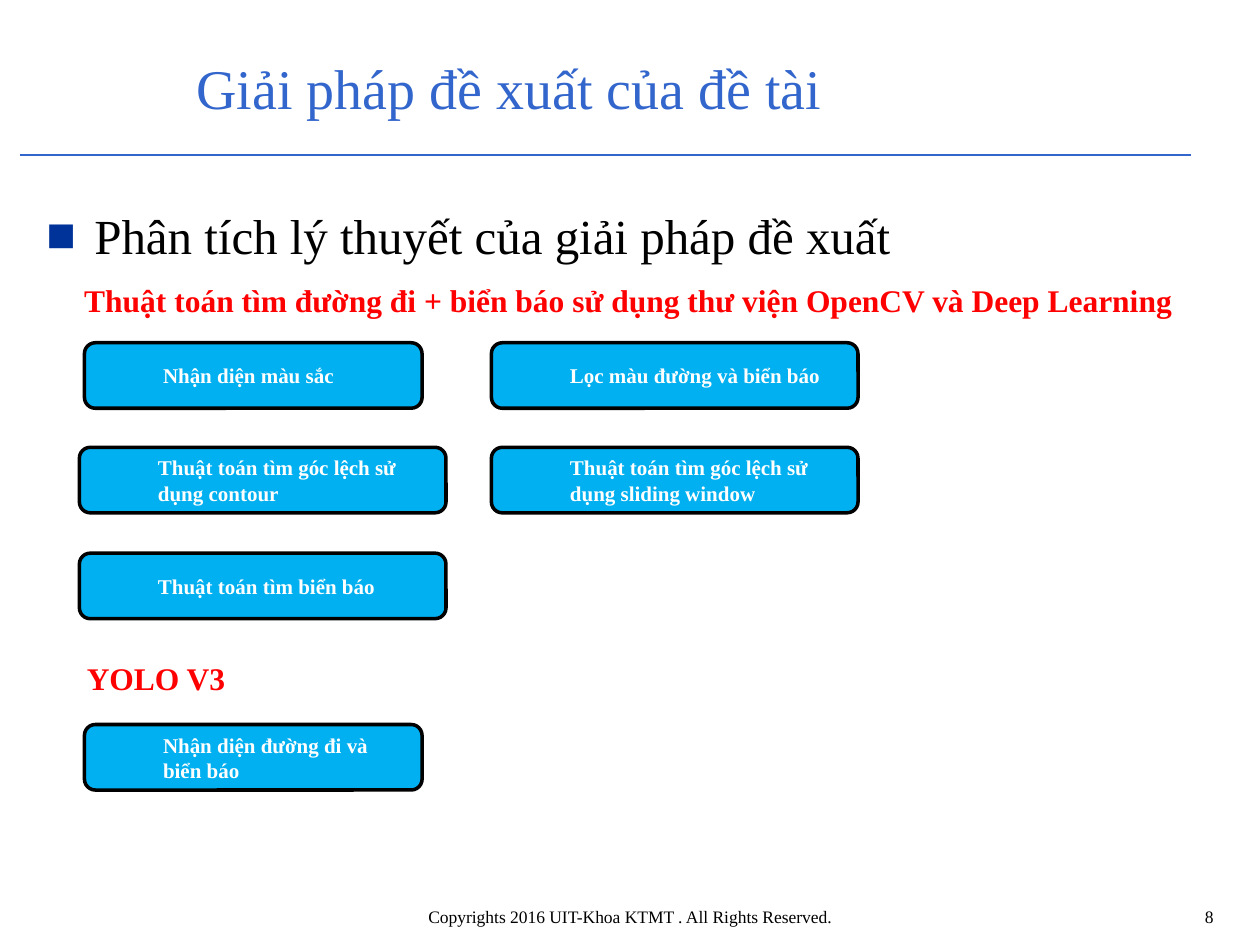
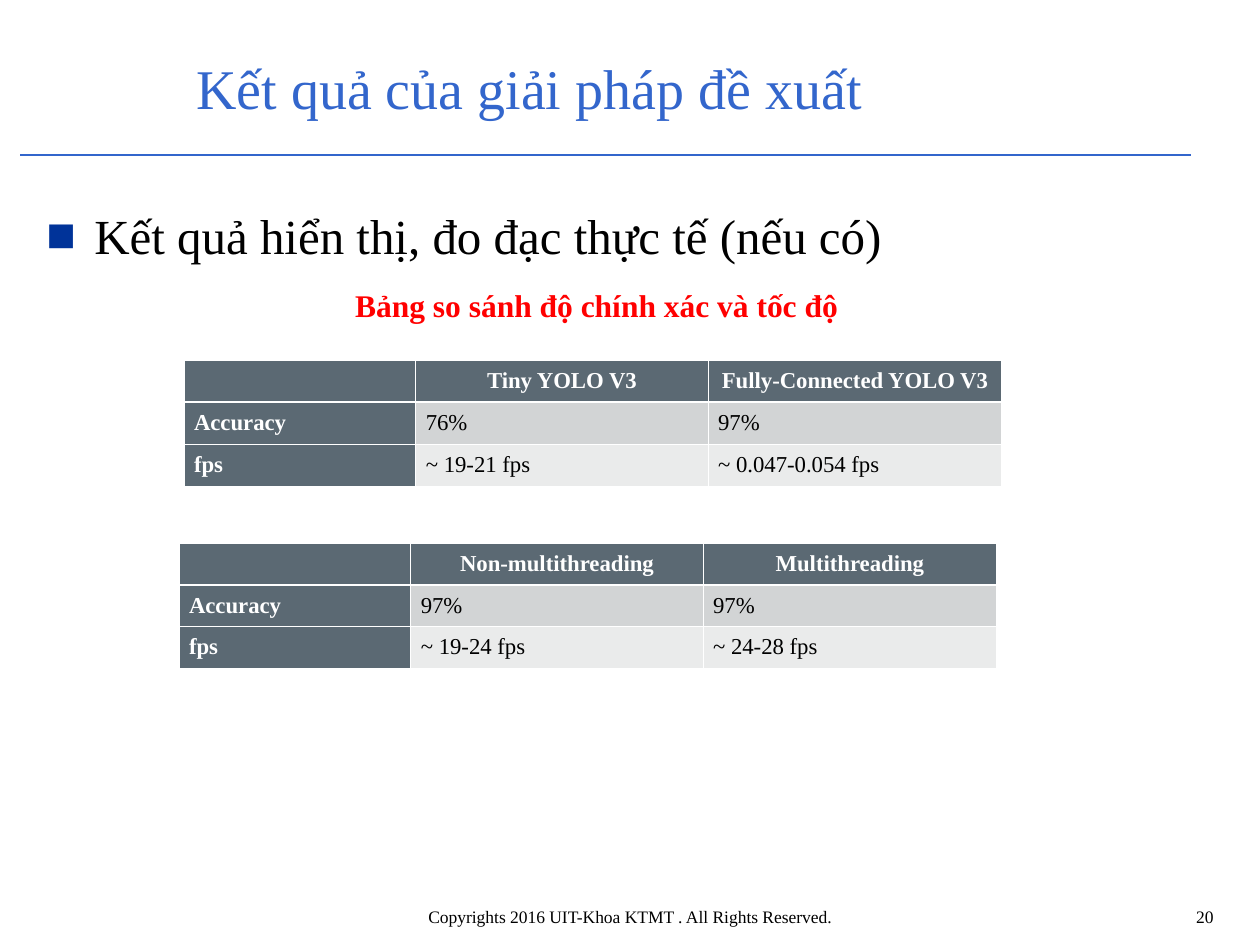
from lxml.etree import SubElement
from pptx import Presentation
from pptx.dml.color import RGBColor
from pptx.enum.shapes import MSO_CONNECTOR, MSO_SHAPE
from pptx.enum.text import MSO_ANCHOR, PP_ALIGN
from pptx.oxml.ns import qn
from pptx.util import Inches, Pt

# Content
SOLUTION = {"title": "Giải pháp đề xuất của đề tài",
            "heading": "Phân tích lý thuyết của giải pháp đề xuất", "number": "8"}
RESULTS = {"title": "Kết quả của giải pháp đề xuất",
           "heading": "Kết quả hiển thị, đo đạc thực tế (nếu có)", "number": "20"}
FOOTER = "Copyrights 2016 UIT-Khoa KTMT . All Rights Reserved."
OPENCV_LABEL = "Thuật toán tìm đường đi + biển báo sử dụng thư viện OpenCV và Deep Learning"
YOLO_LABEL = "YOLO V3"
TABLES_LABEL = "Bảng so sánh độ chính xác và tốc độ"

NARROW, WIDE = 2.68, 2.91
STEPS = [  # left, top, width, text
    (0.67, 2.72, NARROW, "Nhận diện màu sắc"),
    (3.9, 2.72, WIDE, "Lọc màu đường và biển báo"),
    (0.63, 3.55, WIDE, "Thuật toán tìm góc lệch sử dụng contour"),
    (3.9, 3.55, WIDE, "Thuật toán tìm góc lệch sử dụng sliding window"),
    (0.63, 4.39, WIDE, "Thuật toán tìm biển báo"),
    (0.67, 5.75, NARROW, "Nhận diện đường đi và biển báo"),
]
STEP_HEIGHT = 0.52

COMPARISONS = [  # left, top, rows
    (1.42, 4.31, [("", "Non-multithreading", "Multithreading"),
                  ("Accuracy", "97%", "97%"),
                  ("fps", "~ 19-24 fps", "~ 24-28 fps")]),
    (1.46, 2.86, [("", "Tiny YOLO V3", "Fully-Connected YOLO V3"),
                  ("Accuracy", "76%", "97%"),
                  ("fps", "~ 19-21 fps", "~ 0.047-0.054 fps")]),
]
COLUMN_WIDTHS = (1.84, 2.32, 2.33)
ROW_HEIGHT = 0.23

# Style
FONT = "Times New Roman"
BLUE, BULLET, RED = "3366CC", "003399", "FF0000"
BLACK, WHITE, STEP_FILL = "000000", "FFFFFF", "00B0F0"
HEADER_FILL, ROW_FILLS = "5B6973", ("D2D4D5", "EAEBEB")
THIN, THICK = 0.45, 1.47


def color(value):
    return RGBColor.from_string(value)


def write(text_frame, text, size, text_color, bold=False, align=PP_ALIGN.LEFT, indent=0):
    text_frame.word_wrap = True
    paragraph = text_frame.paragraphs[0]
    paragraph.text = text
    paragraph.alignment = align
    if indent:
        paragraph._p.get_or_add_pPr().set("marL", str(Inches(indent)))
    for run in paragraph.runs:
        run.font.name = FONT
        run.font.size = Pt(size)
        run.font.bold = bold
        run.font.color.rgb = color(text_color)
    return paragraph


def add_text(slide, box, *text, anchor=MSO_ANCHOR.TOP, **style):
    shape = slide.shapes.add_textbox(*map(Inches, box))
    shape.text_frame.vertical_anchor = anchor
    return shape, write(shape.text_frame, *text, **style)


def add_bullet(paragraph):
    properties = paragraph._p.get_or_add_pPr()
    properties.set("marL", str(Inches(0.38)))
    properties.set("indent", str(Inches(-0.38)))
    bullet_color = SubElement(properties, qn("a:buClr"))
    SubElement(bullet_color, qn("a:srgbClr"), val=BULLET)
    SubElement(properties, qn("a:buFont"), typeface=FONT)
    SubElement(properties, qn("a:buChar"), char="■")


def add_base_slide(presentation, content):
    """Slide with title, rule, bulleted heading, footer and number."""
    slide = presentation.slides.add_slide(presentation.slide_layouts[6])
    rule = slide.shapes.add_connector(
        MSO_CONNECTOR.STRAIGHT, Inches(0.16), Inches(1.23), Inches(9.45), Inches(1.23))
    rule.line.color.rgb = color(BLUE)
    rule.line.width = Pt(0.75)
    SubElement(rule._element.spPr, qn("a:effectLst"))

    add_text(slide, (1.46, 0.31, 8.04, 0.76), content["title"], 32, BLUE,
             anchor=MSO_ANCHOR.MIDDLE)
    body, heading = add_text(slide, (0.27, 1.54, 9.45, 5.28), content["heading"], 28, BLACK)
    body.text_frame.margin_top = Inches(0.09)
    add_bullet(heading)
    add_text(slide, (1.93, 7.14, 6.14, 0.32), FOOTER, 10, BLACK, align=PP_ALIGN.CENTER)
    add_text(slide, (7.81, 7.14, 1.92, 0.32), content["number"], 10, BLACK,
             align=PP_ALIGN.RIGHT)
    return slide


def add_label(slide, box, text, indent=0):
    add_text(slide, box, text, 18, RED, bold=True, indent=indent)


def add_step(slide, left, top, width, text):
    shape = slide.shapes.add_shape(
        MSO_SHAPE.ROUNDED_RECTANGLE, *map(Inches, (left, top, width, STEP_HEIGHT)))
    shape.shadow.inherit = False
    shape.fill.solid()
    shape.fill.fore_color.rgb = color(STEP_FILL)
    shape.line.color.rgb = color(BLACK)
    shape.line.width = Pt(2)
    shape.text_frame.vertical_anchor = MSO_ANCHOR.MIDDLE
    write(shape.text_frame, text, 12, WHITE, bold=True, indent=0.5)


def add_borders(cell, row):
    widths = {"L": THIN, "R": THIN,
              "T": THICK if row == 1 else THIN, "B": THICK if row == 0 else THIN}
    properties = cell._tc.get_or_add_tcPr()
    for side, width in widths.items():
        line = SubElement(properties, qn(f"a:ln{side}"), w=str(Pt(width)))
        SubElement(SubElement(line, qn("a:solidFill")), qn("a:srgbClr"), val=WHITE)


def add_comparison(slide, left, top, rows):
    frame = slide.shapes.add_table(
        len(rows), len(COLUMN_WIDTHS), Inches(left), Inches(top),
        Inches(sum(COLUMN_WIDTHS)), Inches(ROW_HEIGHT * len(rows)))
    table = frame.table
    for column, width in zip(table.columns, COLUMN_WIDTHS):
        column.width = Inches(width)
    for row_index, values in enumerate(rows):
        table.rows[row_index].height = Inches(ROW_HEIGHT)
        for column_index, value in enumerate(values):
            cell = table.cell(row_index, column_index)
            header = row_index == 0 or column_index == 0
            add_borders(cell, row_index)
            cell.fill.solid()
            cell.fill.fore_color.rgb = color(
                HEADER_FILL if header else ROW_FILLS[row_index - 1])
            cell.margin_left = cell.margin_right = Inches(0.08)
            paragraph = write(cell.text_frame, value, 13, WHITE if header else BLACK,
                              bold=header,
                              align=PP_ALIGN.LEFT if row_index else PP_ALIGN.CENTER)
            paragraph.line_spacing = 1.07
            paragraph.space_after = Pt(8)
            if not value:  # keeps the empty cell as low as its row
                SubElement(paragraph._p, qn("a:endParaRPr"), sz="1300")


def main():
    presentation = Presentation()
    presentation.slide_width = Inches(10)
    presentation.slide_height = Inches(7.5)

    # Proposed solution
    slide = add_base_slide(presentation, SOLUTION)
    add_label(slide, (0.57, 2.18, 9.15, 0.4), OPENCV_LABEL)
    add_label(slide, (0.09, 5.18, 4.88, 0.4), YOLO_LABEL, indent=0.5)
    for step in STEPS:
        add_step(slide, *step)

    # Results
    slide = add_base_slide(presentation, RESULTS)
    for comparison in COMPARISONS:
        add_comparison(slide, *comparison)
    add_label(slide, (2.72, 2.22, 7.46, 0.4), TABLES_LABEL)

    presentation.save("out.pptx")


if __name__ == "__main__":
    main()
